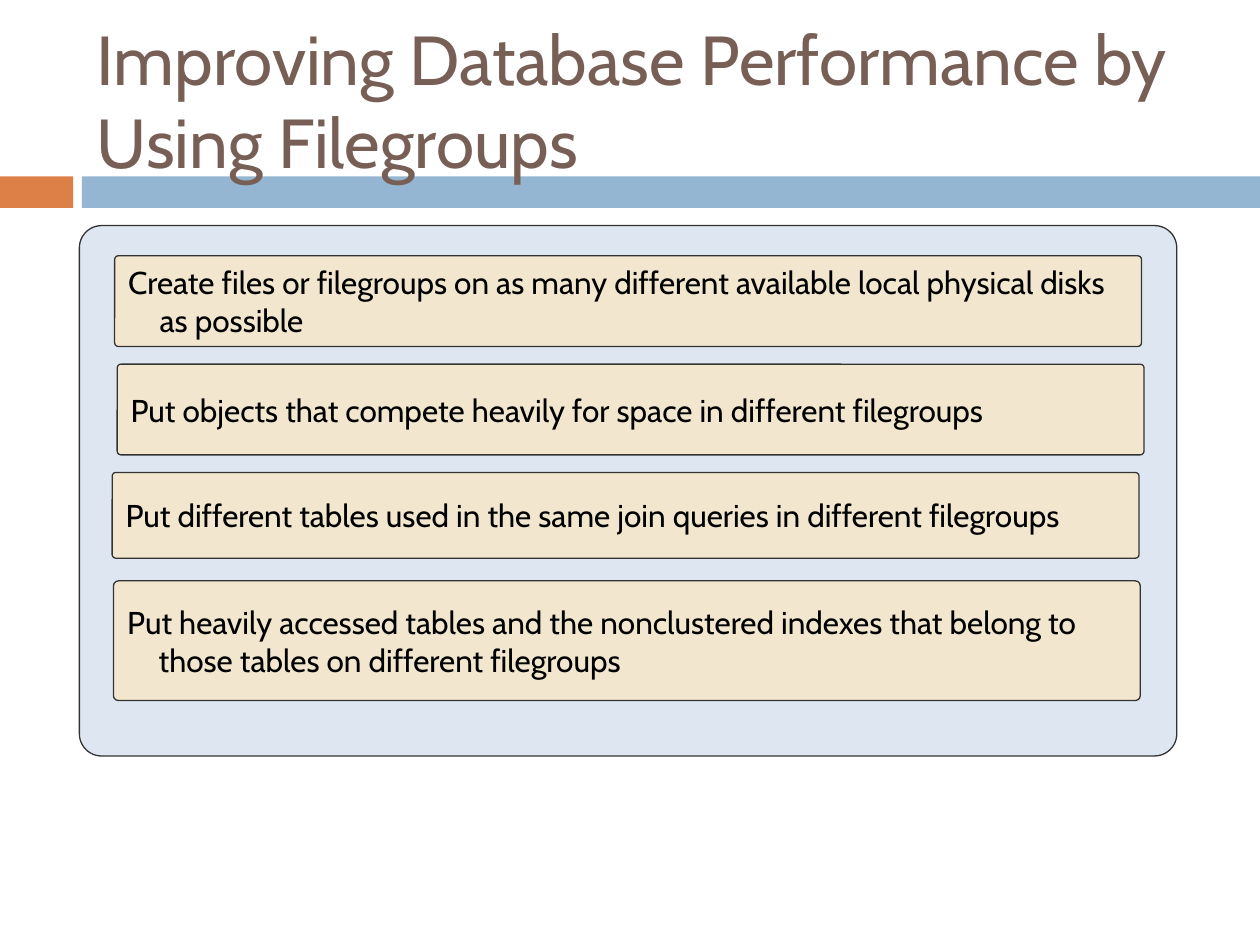
from dataclasses import dataclass
from typing import Optional

from pptx import Presentation
from pptx.dml.color import RGBColor
from pptx.enum.shapes import MSO_SHAPE
from pptx.enum.text import MSO_ANCHOR, PP_ALIGN
from pptx.util import Inches, Pt

COLUMNS, ROWS = 100, 75
SLIDE_W, SLIDE_H = Inches(10), Inches(7.5)


@dataclass(frozen=True)
class Theme:
    font: str = "Cabin"
    title: str = "775F55"
    text: str = "000000"
    accent: str = "DD8047"
    band: str = "94B6D2"
    panel: str = "DEE7F1"
    card: str = "F2E7CE"
    outline: str = "333333"
    title_size: float = 39.6
    card_size: float = 18
    outline_width: float = 0.75
    corner: float = 0.042
    indent: float = 0.25


@dataclass(frozen=True)
class Box:
    """A rectangle in grid columns and rows."""
    col: float
    row: float
    cols: float
    rows: float

    def emu(self) -> tuple[int, int, int, int]:
        cw, rh = SLIDE_W / COLUMNS, SLIDE_H / ROWS
        return (round(self.col * cw), round(self.row * rh),
                round(self.cols * cw), round(self.rows * rh))


@dataclass(frozen=True)
class Card:
    box: Box
    text: str


THEME = Theme()
TITLE = "Improving Database Performance by Using Filegroups"
TITLE_BOX = Box(6.7, 2.5, 89.2, 10.8)
BANDS = [(Box(0, 14, 5.8, 2.5), THEME.accent),
         (Box(6.5, 14, 93.5, 2.5), THEME.band)]
PANEL = Box(6.3, 17.9, 87.1, 42.1)
CARD_COLS = 81.5
CARDS = [
    Card(Box(9.1, 20.3, CARD_COLS, 7.2),
         "Create files or filegroups on as many different available "
         "local physical disks as possible"),
    Card(Box(9.3, 28.9, CARD_COLS, 7.2),
         "Put objects that compete heavily for space in different filegroups"),
    Card(Box(8.9, 37.5, CARD_COLS, 6.8),
         "Put different tables used in the same join queries "
         "in different filegroups"),
    Card(Box(9, 46.1, CARD_COLS, 9.5),
         "Put heavily accessed tables and the nonclustered indexes that "
         "belong to those tables on different filegroups"),
]


def write_text(sp, text: str, size: float, color: str, indent: float = 0) -> None:
    """Write one left-aligned paragraph, with a hanging indent in inches."""
    tf = sp.text_frame
    for name, value in {"word_wrap": True,
                        "vertical_anchor": MSO_ANCHOR.MIDDLE}.items():
        setattr(tf, name, value)
    p = tf.paragraphs[0]
    p.alignment = PP_ALIGN.LEFT
    if indent:
        pPr = p._p.get_or_add_pPr()
        pPr.set("marL", str(Inches(indent)))
        pPr.set("indent", str(-Inches(indent)))
    r = p.add_run()
    r.text = text
    for name, value in {"name": THEME.font, "size": Pt(size)}.items():
        setattr(r.font, name, value)
    r.font.color.rgb = RGBColor.from_string(color)


def add_block(s, box: Box, fill: str, outline: Optional[str] = None):
    """Add a plain bar, or a rounded box when an outline is given."""
    kind = MSO_SHAPE.ROUNDED_RECTANGLE if outline else MSO_SHAPE.RECTANGLE
    sp = s.shapes.add_shape(kind, *box.emu())
    sp.shadow.inherit = False
    sp.fill.solid()
    sp.fill.fore_color.rgb = RGBColor.from_string(fill)
    if outline:
        sp.adjustments[0] = THEME.corner
        sp.line.color.rgb = RGBColor.from_string(outline)
        sp.line.width = Pt(THEME.outline_width)
    else:
        sp.line.fill.background()
    return sp


def main() -> None:
    prs = Presentation()
    prs.slide_width, prs.slide_height = SLIDE_W, SLIDE_H
    s = prs.slides.add_slide(prs.slide_layouts[6])

    for box, color in BANDS:
        add_block(s, box, color)
    title = s.shapes.add_textbox(*TITLE_BOX.emu())
    write_text(title, TITLE, THEME.title_size, THEME.title)

    add_block(s, PANEL, THEME.panel, THEME.outline)
    for card in CARDS:
        sp = add_block(s, card.box, THEME.card, THEME.outline)
        write_text(sp, card.text, THEME.card_size, THEME.text, THEME.indent)

    prs.save("out.pptx")


if __name__ == "__main__":
    main()
